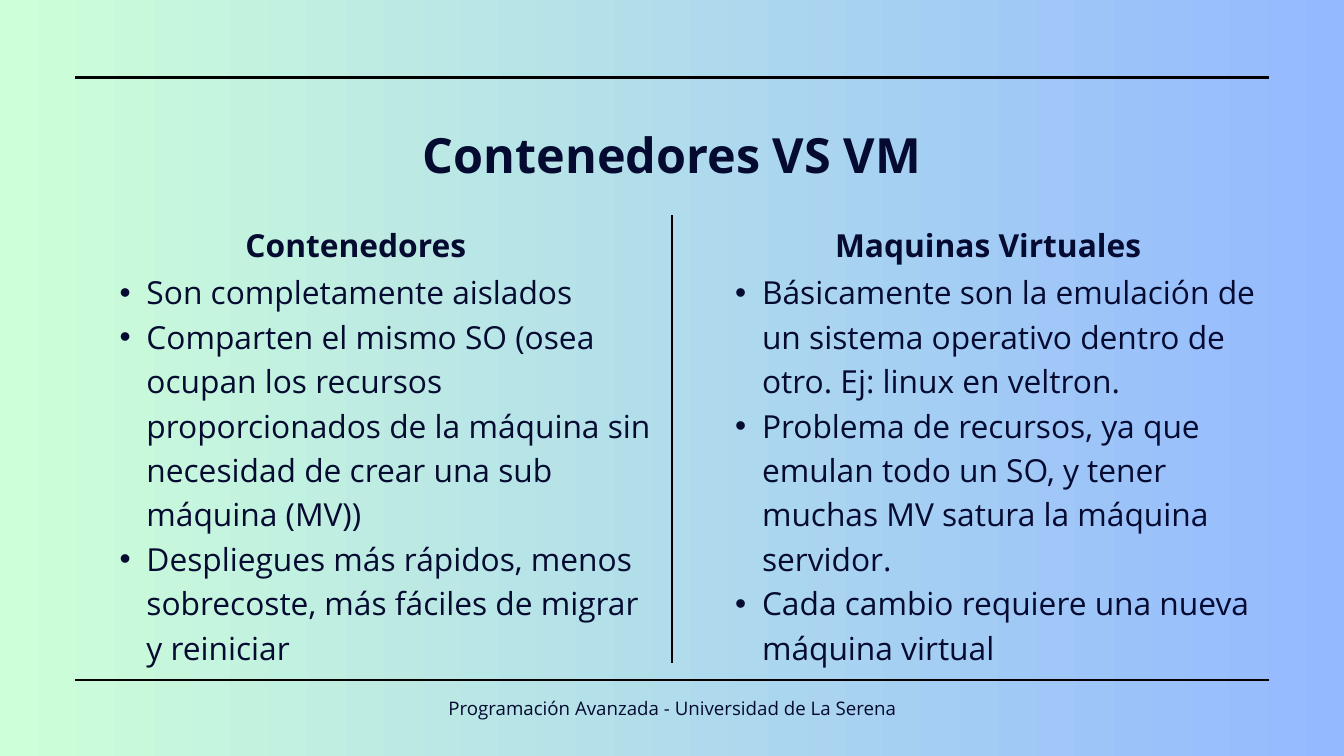
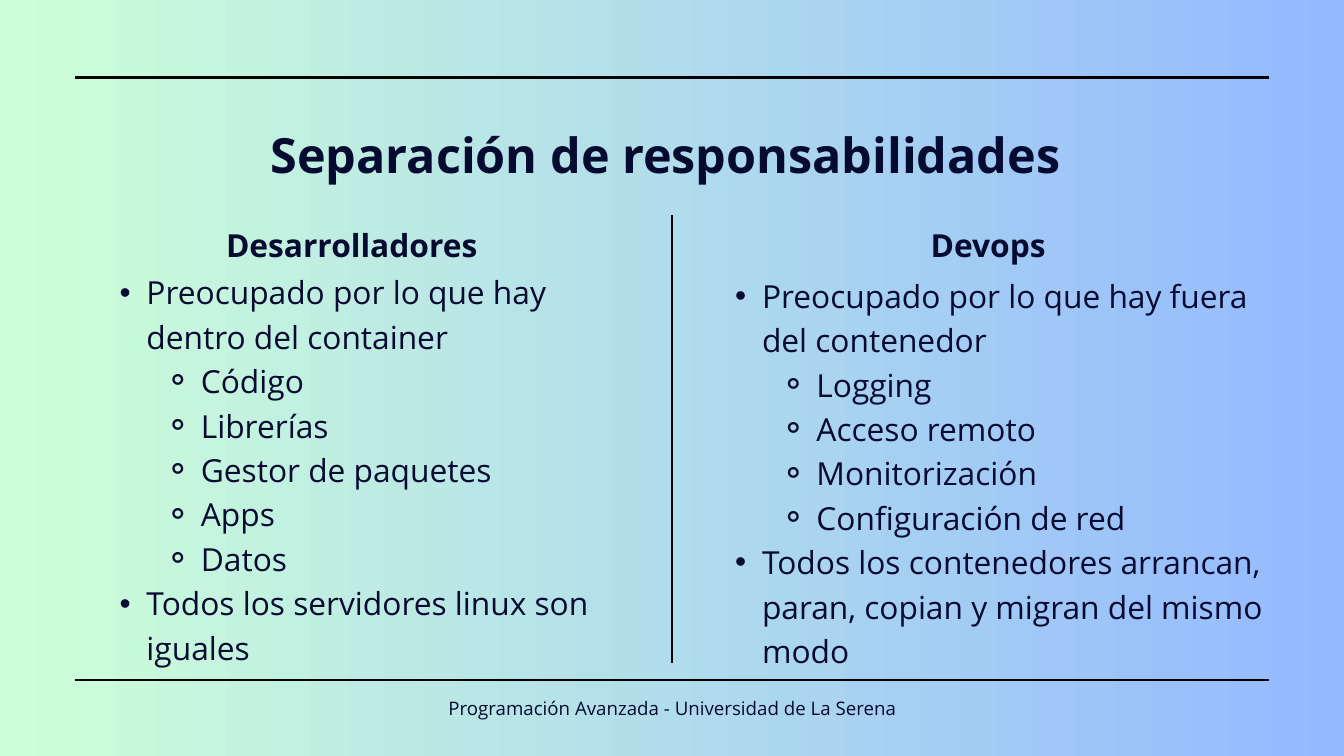
from dataclasses import dataclass

from lxml import etree
from pptx import Presentation
from pptx.dml.color import RGBColor
from pptx.enum.shapes import MSO_CONNECTOR
from pptx.enum.text import MSO_ANCHOR, MSO_AUTO_SIZE, PP_ALIGN
from pptx.oxml.ns import qn
from pptx.util import Inches, Pt

COLORS = {
    "text": "050A30",
    "line": "000000",
    "gradient_start": "CDFFD8",
    "gradient_end": "94B9FF",
}
FONT = "Open Sans"
LEFT = PP_ALIGN.LEFT
CENTER = PP_ALIGN.CENTER
TOP = MSO_ANCHOR.TOP
STRAIGHT = MSO_CONNECTOR.STRAIGHT
FIT_SHAPE = MSO_AUTO_SIZE.SHAPE_TO_FIT_TEXT

TITLE_ONLY = 5
SLIDE_WIDTH = 20
SLIDE_HEIGHT = 11.25
MARGIN = 1.12
LINE_RATIO = 1.4
COLUMN_WIDTH = 8.33
FOOTER = "Programación Avanzada - Universidad de La Serena"


@dataclass(frozen=True)
class TextStyle:
    size: int
    bold: bool = False
    alignment: PP_ALIGN = CENTER


@dataclass(frozen=True)
class BulletStyle:
    symbol: str
    margin: float
    hanging: float


@dataclass(frozen=True)
class Item:
    text: str
    level: int = 1


@dataclass(frozen=True)
class Column:
    heading: str
    items: list[Item]
    heading_left: float
    list_left: float
    list_top: float = 3.97


@dataclass(frozen=True)
class Comparison:
    title: str
    title_width: float
    columns: list[Column]


TITLE = TextStyle(52, bold=True)
HEADING = TextStyle(34, bold=True)
BODY = TextStyle(34, alignment=LEFT)
FOOTNOTE = TextStyle(20)
BULLETS = {1: BulletStyle("•", 0.8, 0.4), 2: BulletStyle("⚬", 1.61, 0.54)}

COMPARISONS = [
    Comparison("Contenedores VS VM", 7.43, [
        Column("Contenedores", [
            Item("Son completamente aislados"),
            Item("Comparten el mismo SO (osea ocupan los recursos proporcionados "
                 "de la máquina sin necesidad de crear una sub máquina (MV))"),
            Item("Despliegues más rápidos, menos sobrecoste, más fáciles de "
                 "migrar y reiniciar"),
        ], 1.13, 1.38),
        Column("Maquinas Virtuales", [
            Item("Básicamente son la emulación de un sistema operativo dentro "
                 "de otro. Ej: linux en veltron."),
            Item("Problema de recursos, ya que emulan todo un SO, y tener "
                 "muchas MV satura la máquina servidor."),
            Item("Cada cambio requiere una nueva máquina virtual"),
        ], 10.54, 10.54),
    ]),
    Comparison("Separación de responsabilidades ", 11.98, [
        Column("Desarrolladores ", [
            Item("Preocupado por lo que hay dentro del container"),
            Item("Código", 2),
            Item("Librerías", 2),
            Item("Gestor de paquetes", 2),
            Item("Apps", 2),
            Item("Datos", 2),
            Item("Todos los servidores linux son iguales"),
        ], 1.13, 1.38),
        Column("Devops", [
            Item("Preocupado por lo que hay fuera del contenedor"),
            Item("Logging", 2),
            Item("Acceso remoto", 2),
            Item("Monitorización", 2),
            Item("Configuración de red", 2),
            Item("Todos los contenedores arrancan, paran, copian y migran "
                 "del mismo modo"),
        ], 10.54, 10.54, 4.02),
    ]),
]


def color(name: str) -> RGBColor:
    return RGBColor.from_string(COLORS[name])


def paint_background(slide) -> None:
    fill = slide.background.fill
    fill.gradient()
    fill.gradient_angle = 0
    for stop, name in zip(fill.gradient_stops, ("gradient_start", "gradient_end")):
        stop.color.rgb = color(name)


def add_line(slide, x1: float, y1: float, x2: float, y2: float) -> None:
    connector = slide.shapes.add_connector(
        STRAIGHT, Inches(x1), Inches(y1), Inches(x2), Inches(y2))
    connector.line.color.rgb = color("line")
    connector.line.width = Pt(3)
    etree.SubElement(connector._element.spPr, qn("a:effectLst"))


def add_bullet(paragraph, level: int) -> None:
    bullet = BULLETS[level]
    paragraph.level = level
    properties = paragraph._p.get_or_add_pPr()
    properties.set("marL", str(Inches(bullet.margin)))
    properties.set("indent", str(-Inches(bullet.hanging)))
    etree.SubElement(properties, qn("a:buFont"), typeface="Arial")
    etree.SubElement(properties, qn("a:buChar"), char=bullet.symbol)


def format_text(text_frame, style: TextStyle) -> None:
    text_frame.margin_left = text_frame.margin_right = 0
    text_frame.margin_top = text_frame.margin_bottom = 0
    text_frame.word_wrap = True
    text_frame.auto_size = FIT_SHAPE
    text_frame.vertical_anchor = TOP
    for paragraph in text_frame.paragraphs:
        paragraph.alignment = style.alignment
        paragraph.line_spacing = Pt(style.size * LINE_RATIO)
        for run in paragraph.runs:
            run.font.name = FONT
            run.font.size = Pt(style.size)
            run.font.bold = style.bold
            run.font.color.rgb = color("text")


def add_text(slide, left: float, top: float, width: float, height: float,
             text: str, style: TextStyle):
    box = slide.shapes.add_textbox(
        Inches(left), Inches(top), Inches(width), Inches(height))
    box.text_frame.text = text
    format_text(box.text_frame, style)
    return box


def set_title(slide, text: str, width: float) -> None:
    title = slide.shapes.title
    title.left, title.top = Inches((SLIDE_WIDTH - width) / 2), Inches(1.71)
    title.width, title.height = Inches(width), Inches(0.97)
    title.text_frame.text = text
    format_text(title.text_frame, TITLE)


def add_column(slide, column: Column) -> None:
    add_text(slide, column.heading_left, 3.26, COLUMN_WIDTH, 0.63,
             column.heading, HEADING)
    text = "\n".join(item.text for item in column.items)
    box = add_text(slide, column.list_left, column.list_top, COLUMN_WIDTH, 5.88,
                   text, BODY)
    for paragraph, item in zip(box.text_frame.paragraphs, column.items):
        add_bullet(paragraph, item.level)


def add_comparison(presentation, comparison: Comparison) -> None:
    slide = presentation.slides.add_slide(presentation.slide_layouts[TITLE_ONLY])
    paint_background(slide)
    for y in (10.12, 1.15):
        add_line(slide, MARGIN, y, SLIDE_WIDTH - MARGIN, y)
    add_text(slide, 6.67, 10.32, 6.67, 0.38, FOOTER, FOOTNOTE)
    set_title(slide, comparison.title, comparison.title_width)
    add_line(slide, SLIDE_WIDTH / 2, 9.86, SLIDE_WIDTH / 2, 3.2)
    for column in comparison.columns:
        add_column(slide, column)


def main() -> None:
    presentation = Presentation()
    presentation.slide_width = Inches(SLIDE_WIDTH)
    presentation.slide_height = Inches(SLIDE_HEIGHT)
    for comparison in COMPARISONS:
        add_comparison(presentation, comparison)
    presentation.save("out.pptx")


if __name__ == "__main__":
    main()
